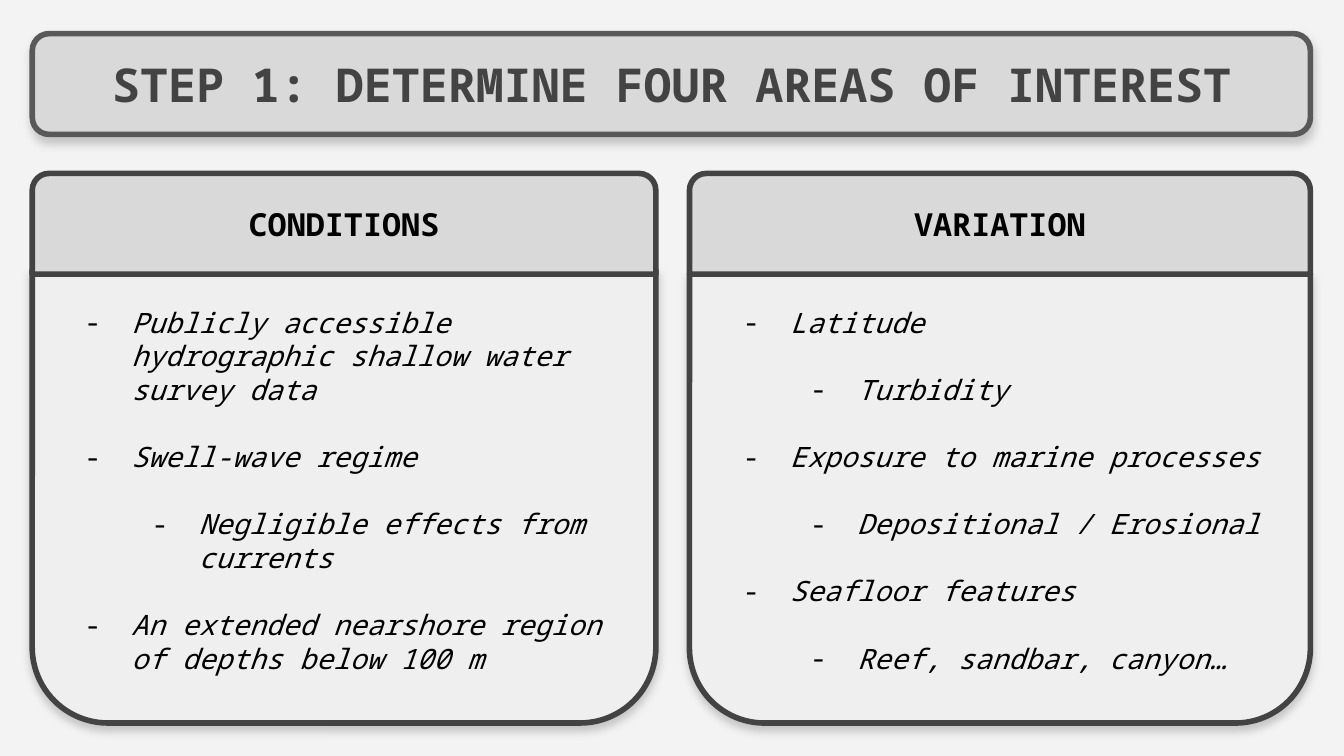
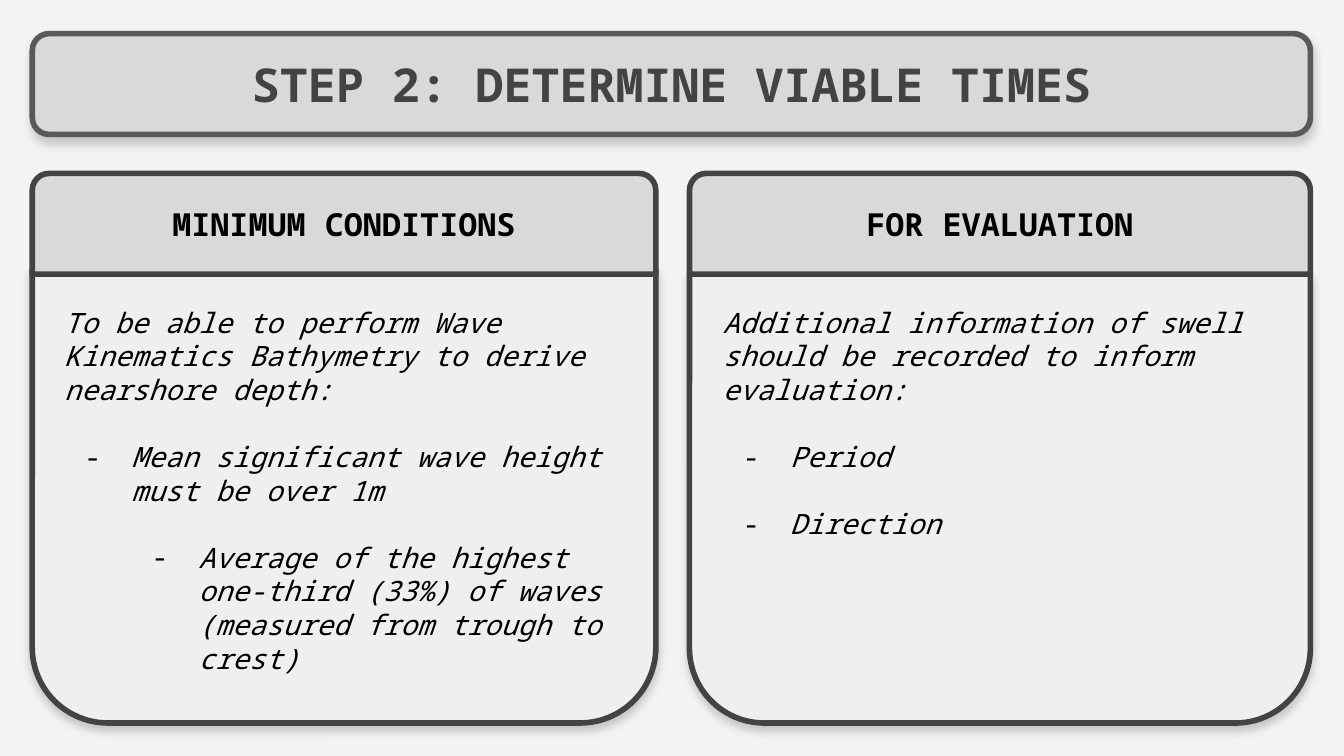
from dataclasses import dataclass

from lxml import etree
from pptx import Presentation
from pptx.dml.color import RGBColor
from pptx.enum.shapes import MSO_SHAPE
from pptx.enum.text import MSO_ANCHOR, MSO_AUTO_SIZE, PP_ALIGN
from pptx.oxml import parse_xml
from pptx.oxml.ns import qn
from pptx.util import Inches, Pt

ROUND_RECT = MSO_SHAPE.ROUNDED_RECTANGLE
ROUND_TWO = MSO_SHAPE.ROUND_2_SAME_RECTANGLE
CENTER, LEFT = PP_ALIGN.CENTER, PP_ALIGN.LEFT
TOP, BOTTOM = MSO_ANCHOR.TOP, MSO_ANCHOR.BOTTOM
NO_AUTOFIT = MSO_AUTO_SIZE.NONE
TITLE_ONLY = 5


@dataclass(frozen=True)
class Theme:
    font: str = "Noto Sans Mono"
    backdrop: str = "F3F3F3"
    band: str = "D9D9D9"
    card: str = "EFEFEF"
    outline: str = "434343"
    band_outline: str = "595959"
    title: str = "434343"
    ink: str = "000000"
    title_size: int = 25
    heading_size: int = 17
    body_size: int = 15
    paragraph_gap: int = 18
    line_width: int = 3
    corner: float = 0.167


THEME = Theme()
SHADOW = (
    '<a:effectLst xmlns:a="http://schemas.openxmlformats.org/drawingml/2006/main">'
    f'<a:outerShdw blurRad="{Pt(4.5)}" dist="{Pt(3)}" dir="5400000" algn="bl" rotWithShape="0">'
    f'<a:srgbClr val="{THEME.outline}"><a:alpha val="25000"/></a:srgbClr>'
    "</a:outerShdw></a:effectLst>"
)

COLUMNS = [
    {"left": 0.24, "width": 4.64, "card_top": 2.01, "text_left": 0.38},
    {"left": 5.13, "width": 4.62, "card_top": 2.04, "text_left": 5.28},
]
CARD_BOTTOM = 5.38

STEPS = [
    ("STEP 1: DETERMINE FOUR AREAS OF INTEREST", [
        ("CONDITIONS", [
            (1, "Publicly accessible hydrographic shallow water survey data"),
            (1, "Swell-wave regime"),
            (2, "Negligible effects from currents"),
            (1, "An extended nearshore region of depths below 100 m"),
        ]),
        ("VARIATION", [
            (1, "Latitude"),
            (2, "Turbidity"),
            (1, "Exposure to marine processes"),
            (2, "Depositional / Erosional"),
            (1, "Seafloor features"),
            (2, "Reef, sandbar, canyon…"),
        ]),
    ]),
    ("STEP 2: DETERMINE VIABLE TIMES", [
        ("MINIMUM CONDITIONS", [
            (0, "To be able to perform Wave Kinematics Bathymetry to derive nearshore depth:"),
            (1, "Mean significant wave height must be over 1m"),
            (2, "Average of the highest one-third (33%) of waves (measured from trough to crest)"),
        ]),
        ("FOR EVALUATION", [
            (0, "Additional information of swell should be recorded to inform evaluation:"),
            (1, "Period"),
            (1, "Direction"),
        ]),
    ]),
]


def add_panel(page, kind, bounds, fill, outline, corners, shadow):
    panel = page.shapes.add_shape(kind, *map(Inches, bounds))
    for index, corner in enumerate(corners):
        panel.adjustments[index] = corner
    panel.fill.solid()
    panel.fill.fore_color.rgb = RGBColor.from_string(fill)
    panel.line.color.rgb = RGBColor.from_string(outline)
    panel.line.width = Pt(THEME.line_width)
    if shadow:
        panel._element.spPr.append(parse_xml(SHADOW))
    else:
        panel.shadow.inherit = False


def write_text(box, items, size, color, align=LEFT, anchor=TOP, bold=False, italic=False):
    frame = box.text_frame
    frame.word_wrap = True
    frame.auto_size = NO_AUTOFIT
    frame.vertical_anchor = anchor
    frame.margin_left = frame.margin_right = Inches(0.1)
    frame.margin_top = frame.margin_bottom = Inches(0.1)
    frame.text = "\n".join(text for _, text in items)
    for index, (para, (depth, _)) in enumerate(zip(frame.paragraphs, items)):
        para.alignment = align
        para.line_spacing = 1.0
        para.space_before = Pt(THEME.paragraph_gap if index else 0)
        for span in para.runs:
            span.font.name = THEME.font
            span.font.size = Pt(size)
            span.font.bold = bold
            span.font.italic = italic
            span.font.color.rgb = RGBColor.from_string(color)
        if depth:
            para.level = depth - 1
            props = para._p.get_or_add_pPr()
            props.set("marL", str(Inches(0.5 * depth)))
            props.set("indent", str(Inches(-0.35)))
            bullet_color = etree.SubElement(props, qn("a:buClr"))
            etree.SubElement(bullet_color, qn("a:srgbClr"), val=color)
            etree.SubElement(props, qn("a:buFont"), typeface=THEME.font)
            etree.SubElement(props, qn("a:buChar"), char="-")


deck = Presentation()
deck.slide_width = Inches(10)
deck.slide_height = deck.slide_width * 9 // 16

for title_text, cards in STEPS:
    page = deck.slides.add_slide(deck.slide_layouts[TITLE_ONLY])
    page.background.fill.solid()
    page.background.fill.fore_color.rgb = RGBColor.from_string(THEME.backdrop)

    for column, (heading, items) in zip(COLUMNS, cards):
        left, width, top = column["left"], column["width"], column["card_top"]
        add_panel(page, ROUND_TWO, (left, top, width, CARD_BOTTOM - top),
                  THEME.card, THEME.outline, (0, THEME.corner), True)
        add_panel(page, ROUND_TWO, (left, 1.29, width, 0.75),
                  THEME.band, THEME.outline, (THEME.corner, 0), False)
        heading_box = page.shapes.add_textbox(*map(Inches, (left, 1.42, width, 0.49)))
        write_text(heading_box, [(0, heading)], THEME.heading_size, THEME.ink, CENTER, bold=True)
        body_box = page.shapes.add_textbox(*map(Inches, (column["text_left"], 2.17, 4.33, 3.05)))
        write_text(body_box, items, THEME.body_size, THEME.ink, italic=True)

    add_panel(page, ROUND_RECT, (0.24, 0.25, 9.51, 0.75),
              THEME.band, THEME.band_outline, (THEME.corner,), True)
    title = page.shapes.title
    title.left, title.top, title.width, title.height = map(Inches, (0.38, 0.33, 9.23, 0.6))
    write_text(title, [(0, title_text)], THEME.title_size, THEME.title, CENTER, BOTTOM, bold=True)
    page.shapes._spTree.append(title._element)

deck.save("out.pptx")
